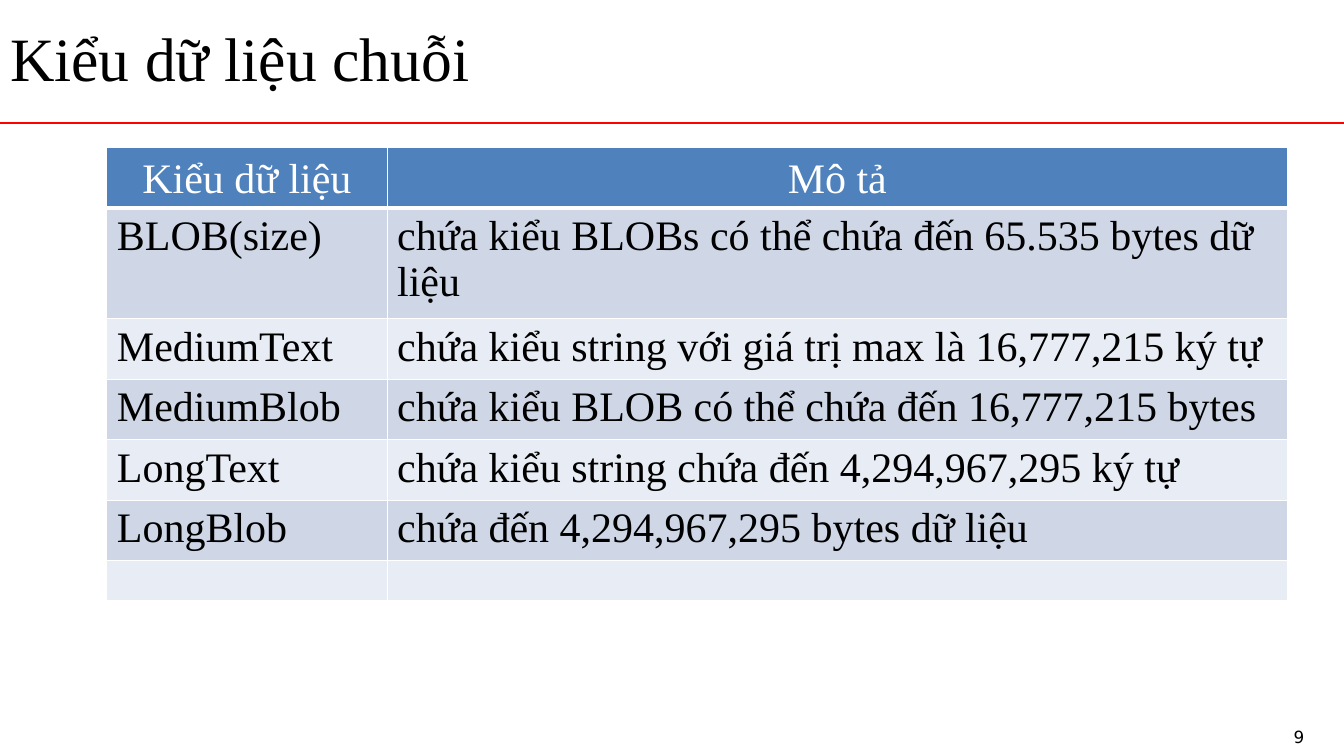
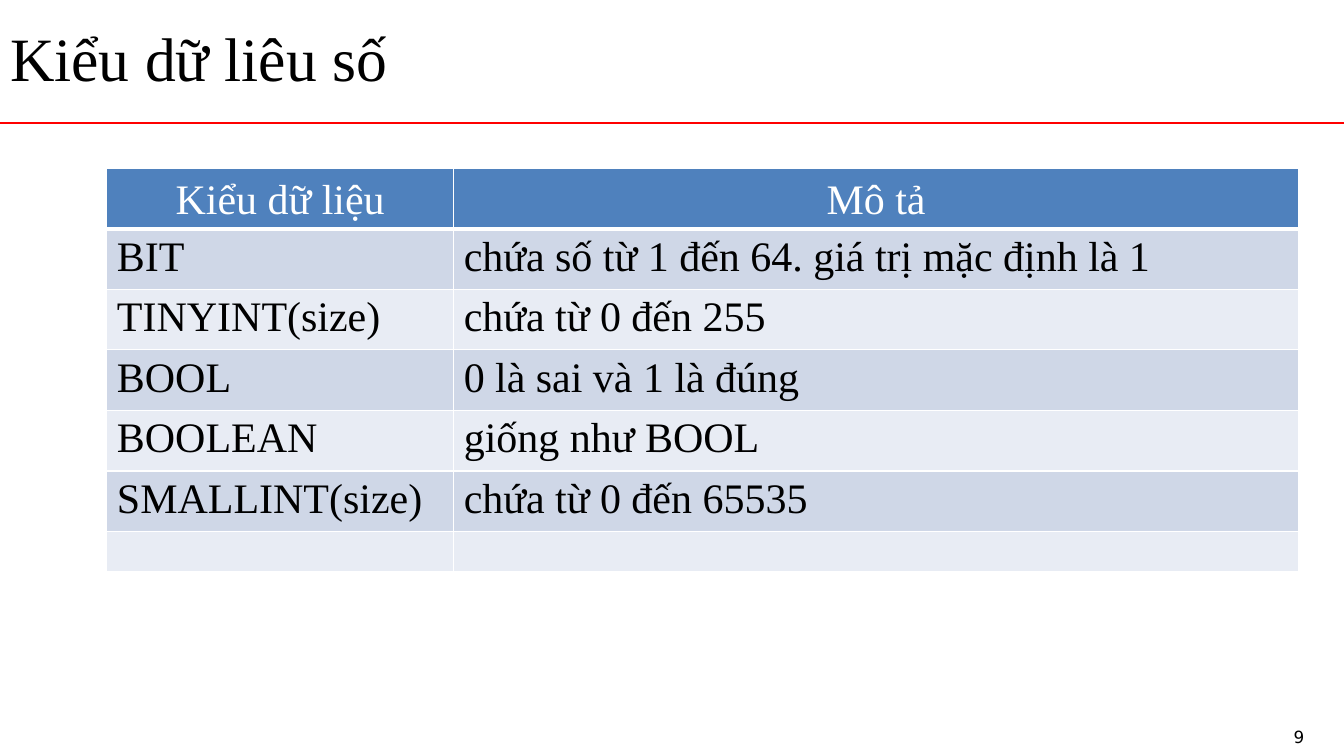
"""Build two slides of tables on string and numeric data types."""
from dataclasses import dataclass

from lxml import etree
from pptx import Presentation
from pptx.dml.color import RGBColor
from pptx.enum.shapes import MSO_CONNECTOR
from pptx.enum.text import MSO_ANCHOR, PP_ALIGN
from pptx.oxml.ns import qn
from pptx.util import Inches, Pt

STRAIGHT = MSO_CONNECTOR.STRAIGHT
TOP, BOTTOM = MSO_ANCHOR.TOP, MSO_ANCHOR.BOTTOM
LEFT, CENTER = PP_ALIGN.LEFT, PP_ALIGN.CENTER


@dataclass(frozen=True)
class Theme:
    """Colours, fonts and type sizes shared by the slides."""
    black: str = "000000"
    white: str = "FFFFFF"
    rule: str = "FF0000"
    header: str = "4F81BD"
    bands: tuple = ("CFD7E7", "E8ECF4")
    serif: str = "Times New Roman"
    sans: str = "DejaVu Sans"
    title_size: int = 44
    table_size: int = 30
    number_size: int = 12
    thin: int = 1
    thick: int = 3


THEME = Theme()
SLIDE_WIDTH, SLIDE_HEIGHT = 13.33, 7.5
RULE_TOP = 1.22
TABLE_LEFT = 1.06
ROW_HEIGHT, TALL_ROW, EMPTY_ROW = 0.6, 1.1, 0.4
HEADINGS = ("Kiểu dữ liệu", "Mô tả")
PAGE_NUMBER = "9"

SLIDES = [
    {
        "title": "Kiểu dữ liệu chuỗi",
        "top": 1.46,
        "columns": (2.78, 8.93),
        "tall_rows": (1,),
        "rows": [
            ("BLOB(size)", "chứa kiểu BLOBs có thể chứa đến 65.535 bytes dữ liệu"),
            ("MediumText", "chứa kiểu string với giá trị max là 16,777,215 ký tự"),
            ("MediumBlob", "chứa kiểu BLOB có thể chứa đến 16,777,215 bytes"),
            ("LongText", "chứa kiểu string chứa đến 4,294,967,295 ký tự"),
            ("LongBlob", "chứa đến 4,294,967,295 bytes dữ liệu"),
            ("", ""),
        ],
    },
    {
        "title": "Kiểu dữ liêu số",
        "top": 1.67,
        "columns": (3.44, 8.38),
        "tall_rows": (),
        "rows": [
            ("BIT", "chứa số từ 1 đến 64. giá trị mặc định là 1"),
            ("TINYINT(size)", "chứa từ 0 đến 255"),
            ("BOOL", "0 là sai và 1 là đúng"),
            ("BOOLEAN", "giống như BOOL"),
            ("SMALLINT(size)", "chứa từ 0 đến 65535"),
            ("", ""),
        ],
    },
]


def write(para, text, size, color, font=THEME.serif):
    """Add one formatted span of text to a paragraph."""
    span = para.add_run()
    span.text = text
    formats = {"name": font, "size": Pt(size), "bold": False}
    for name, value in formats.items():
        setattr(span.font, name, value)
    span.font.color.rgb = RGBColor.from_string(color)


def add_text(page, place, text, size, font=THEME.serif):
    """Add a one-line text box with almost no margins."""
    frame = page.shapes.add_textbox(*map(Inches, place)).text_frame
    formats = {"margin_left": 0, "margin_right": 0, "margin_bottom": 0,
               "margin_top": Inches(0.01), "word_wrap": True}
    for name, value in formats.items():
        setattr(frame, name, value)
    write(frame.paragraphs[0], text, size, THEME.black, font)


def add_frame(page, title):
    """Add the page number, the red rule and the title."""
    add_text(page, (12.83, 7.2, 0.2, 0.23), PAGE_NUMBER, THEME.number_size, THEME.sans)
    rule = page.shapes.add_connector(
        STRAIGHT, 0, Inches(RULE_TOP), Inches(SLIDE_WIDTH), Inches(RULE_TOP))
    rule.line.color.rgb = RGBColor.from_string(THEME.rule)
    rule.line.width = Pt(1.5)
    etree.SubElement(rule.element.spPr, qn("a:effectLst"))
    add_text(page, (0.1, 0.19, 5.83, 0.75), title, THEME.title_size)


def add_borders(cell, row):
    """Draw white cell borders, thick between header and body."""
    widths = {"L": THEME.thin, "R": THEME.thin,
              "T": THEME.thick if row == 1 else THEME.thin,
              "B": THEME.thick if row == 0 else THEME.thin}
    properties = cell._tc.get_or_add_tcPr()
    for side, width in widths.items():
        border = etree.SubElement(properties, qn(f"a:ln{side}"), w=str(Pt(width)))
        fill = etree.SubElement(border, qn("a:solidFill"))
        etree.SubElement(fill, qn("a:srgbClr"), val=THEME.white)


def row_height(row, texts, tall_rows):
    """Return the height in inches that a row needs."""
    if not any(texts):
        return EMPTY_ROW
    return TALL_ROW if row in tall_rows else ROW_HEIGHT


def fill_cell(cell, row, text):
    """Style one table cell and write its text."""
    is_header = row == 0
    add_borders(cell, row)
    cell.fill.solid()
    color = THEME.header if is_header else THEME.bands[(row - 1) % 2]
    cell.fill.fore_color.rgb = RGBColor.from_string(color)
    cell.vertical_anchor = BOTTOM if is_header else TOP
    para = cell.text_frame.paragraphs[0]
    para.alignment = CENTER if is_header else LEFT
    if text:
        write(para, text, THEME.table_size, THEME.white if is_header else THEME.black)


def add_type_table(page, content):
    """Add the table of data types and their descriptions."""
    rows = [HEADINGS, *content["rows"]]
    columns = content["columns"]
    heights = [row_height(row, texts, content["tall_rows"])
               for row, texts in enumerate(rows)]
    place = (TABLE_LEFT, content["top"], sum(columns), sum(heights))
    table = page.shapes.add_table(len(rows), len(columns), *map(Inches, place)).table
    for column, width in zip(table.columns, columns):
        column.width = Inches(width)
    for row, texts in enumerate(rows):
        table.rows[row].height = Inches(heights[row])
        for column, text in enumerate(texts):
            fill_cell(table.cell(row, column), row, text)


def main():
    """Build and save the deck."""
    deck = Presentation()
    deck.slide_width, deck.slide_height = Inches(SLIDE_WIDTH), Inches(SLIDE_HEIGHT)
    for content in SLIDES:
        page = deck.slides.add_slide(deck.slide_layouts[6])
        add_frame(page, content["title"])
        add_type_table(page, content)
    deck.save("out.pptx")


if __name__ == "__main__":
    main()
